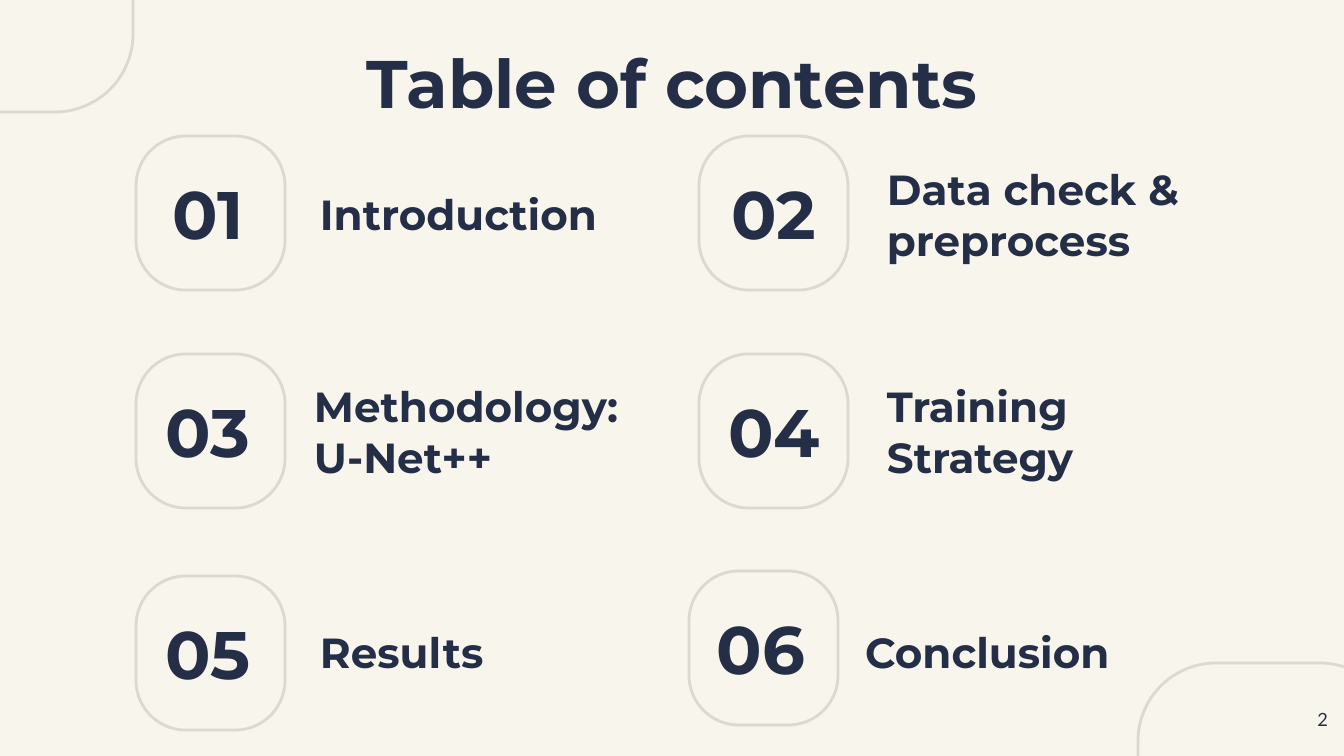
import pptx
import pptx.util
import pptx.dml.color
import pptx.enum.shapes
import pptx.enum.text

# Content: lengths in px
TITLE = "Table of contents"
PAGE = "2"
# number, label, frame x and y, number x, label x, label width, label lines
ENTRIES = [
    ("01", "Introduction", 136, 136, 131, 307, 339, 1),
    ("02", "Data check & preprocess", 699, 136, 697, 874, 339, 2),
    ("03", "Methodology: U-Net++", 136, 354, 131, 301, 383, 2),
    ("04", "Training Strategy", 699, 354, 697, 874, 339, 2),
    ("05", "Results", 136, 576, 131, 307, 383, 1),
    ("06", "Conclusion", 689, 571, 684, 852, 383, 1),
]
LABEL_MIDDLES = {136: 214, 354: 431, 576: 652, 571: 652}
LABEL_HEIGHTS = {1: 78, 2: 129}
FRAME_W, FRAME_H, NUMBER_W = 149, 154, 154
CORNERS = [(-127, -199), (1138, 663)]
CORNER_W, CORNER_H = 260, 311
COLORS = {"background": "F8F5EC", "outline": "DADACE", "text": "252E47"}
HEAD_FONT, PAGE_FONT = "Montserrat", "Lato"
SCALE = 914400 / 100.9

ALIGN = pptx.enum.text.PP_ALIGN
ANCHOR = pptx.enum.text.MSO_ANCHOR


def px(n):
    return pptx.util.Emu(round(n * SCALE))


def rgb(name):
    return pptx.dml.color.RGBColor.from_string(COLORS[name])


def add_frame(x, y, w, h, radius):
    sp = slide.shapes.add_shape(
        pptx.enum.shapes.MSO_SHAPE.ROUNDED_RECTANGLE, px(x), px(y), px(w), px(h))
    sp.adjustments[0] = radius
    sp.shadow.inherit = False
    sp.fill.background()
    sp.line.color.rgb = rgb("outline")
    sp.line.width = pptx.util.Pt(2)


def write(sp, text, box, size, align, font=HEAD_FONT, bold=True,
          anchor=ANCHOR.MIDDLE, inset=13):
    sp.left, sp.top, sp.width, sp.height = map(px, box)
    tf = sp.text_frame
    tf.word_wrap = True
    tf.auto_size = pptx.enum.text.MSO_AUTO_SIZE.NONE
    tf.vertical_anchor = anchor
    tf.margin_left = tf.margin_right = px(inset)
    tf.margin_top = tf.margin_bottom = px(inset)
    p = tf.paragraphs[0]
    p.alignment = align
    r = p.add_run()
    r.text = text
    r.font.name = font
    r.font.size = pptx.util.Pt(size)
    r.font.bold = bold
    r.font.color.rgb = rgb("text")


def add_text(text, box, size, align, **style):
    sp = slide.shapes.add_textbox(0, 0, 0, 0)
    write(sp, text, box, size, align, **style)


# Slide and background
prs = pptx.Presentation()
prs.slide_width, prs.slide_height = px(1344), px(756)
slide = prs.slides.add_slide(prs.slide_layouts[5])
slide.background.fill.solid()
slide.background.fill.fore_color.rgb = rgb("background")

# Corner outlines
for x, y in CORNERS:
    add_frame(x, y, CORNER_W, CORNER_H, 0.3)

# Title
write(slide.shapes.title, TITLE, (106, 27, 1132, 109), 48, ALIGN.CENTER)

# Numbered entries
for number, label, x, y, number_x, label_x, label_w, lines in ENTRIES:
    add_frame(x, y, FRAME_W, FRAME_H, 0.334)
    add_text(number, (number_x, y, NUMBER_W, FRAME_H), 47.9, ALIGN.CENTER)
    h = LABEL_HEIGHTS[lines]
    add_text(label, (label_x, LABEL_MIDDLES[y] - h / 2, label_w, h), 30, ALIGN.LEFT)

# Page number
add_text(PAGE, (1257, 698, 81, 58), 13, ALIGN.RIGHT, font=PAGE_FONT,
         bold=False, anchor=ANCHOR.TOP, inset=10)

prs.save("out.pptx")
